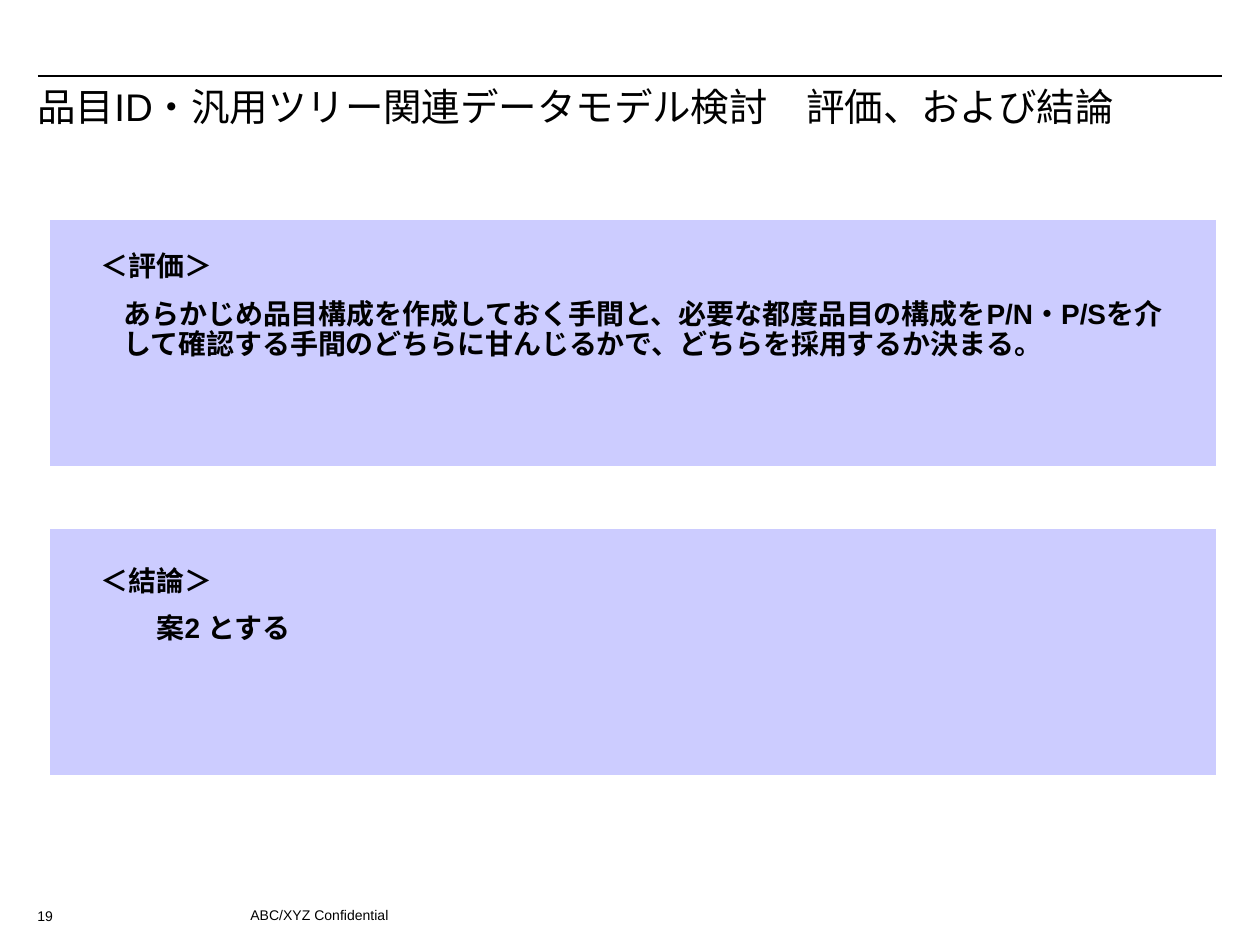
"""Build the slide with the evaluation and conclusion of the item ID data model study."""
from lxml.etree import SubElement
from pptx import Presentation
from pptx.dml.color import RGBColor
from pptx.enum.shapes import MSO_CONNECTOR as CONN, MSO_SHAPE as SHAPE
from pptx.enum.text import MSO_ANCHOR as ANCHOR, MSO_AUTO_SIZE as AUTO, PP_ALIGN as ALIGN
from pptx.oxml.ns import qn
from pptx.util import Pt

PX = 914400 // 126
COLORS = {"text": "000000", "panel": "CCCCFF", "rule": "000000"}


def place(sp, x, y, w, h):
    sp.left, sp.top, sp.width, sp.height = (v * PX for v in (x, y, w, h))
    tf = sp.text_frame
    tf.word_wrap = True
    tf.auto_size = AUTO.NONE
    tf.vertical_anchor = ANCHOR.TOP
    return tf


def style(p, size, bold=False):
    p.alignment = ALIGN.LEFT
    for r in p.runs:
        r.font.name = "Arial"
        r.font.size = Pt(size)
        r.font.bold = bold
        r.font.color.rgb = RGBColor.from_string(COLORS["text"])


prs = Presentation()
prs.slide_width, prs.slide_height = 1260 * PX, 945 * PX
s = prs.slides.add_slide(prs.slide_layouts[1])
title, body = s.placeholders[0], s.placeholders[1]

rule = s.shapes.add_connector(CONN.STRAIGHT, 38 * PX, 76 * PX, 1222 * PX, 76 * PX)
rule.line.color.rgb = RGBColor.from_string(COLORS["rule"])
rule.line.width = Pt(0.75)
SubElement(rule._element.spPr, qn("a:effectLst"))

for y in (220, 529):
    panel = s.shapes.add_shape(SHAPE.RECTANGLE, 50 * PX, y * PX, 1166 * PX, 246 * PX)
    panel.shadow.inherit = False
    panel.fill.solid()
    panel.fill.fore_color.rgb = RGBColor.from_string(COLORS["panel"])
    panel.line.fill.background()

for sp in (title, body):
    s.shapes._spTree.append(sp._element)

tf = place(title, 25, 82, 1216, 102)
tf.text = "品目ID・汎用ツリー関連データモデル検討　評価、および結論"
tf.paragraphs[0].line_spacing = 0.9
style(tf.paragraphs[0], 22)

tf = place(body, 88, 246, 1090, 455)
lines = [
    ("＜評価＞", 0, 0),
    ("あらかじめ品目構成を作成しておく手間と、必要な都度品目の構成をP/N・P/Sを"
     "介して確認する手間のどちらに甘んじるかで、どちらを採用するか決まる。", 23, 10),
    ("＜結論＞", 0, 118),
    ("案2 とする", 56, 10),
]
tf.text = "\n".join(text for text, _, _ in lines)
for p, (_, margin, before) in zip(tf.paragraphs, lines):
    pPr = p._p.get_or_add_pPr()
    pPr.set("marL", str(margin * PX))
    pPr.set("indent", "0")
    SubElement(pPr, qn("a:buNone"))
    p.line_spacing = 0.9
    p.space_before = Pt(before)
    style(p, 16, True)

for text, x, y, w in (("ABC/XYZ Confidential", 238, 900, 819), ("19", 25, 901, 50)):
    tf = place(s.shapes.add_textbox(0, 0, 0, 0), x, y, w, 25)
    tf.text = text
    style(tf.paragraphs[0], 8)

prs.save("out.pptx")
